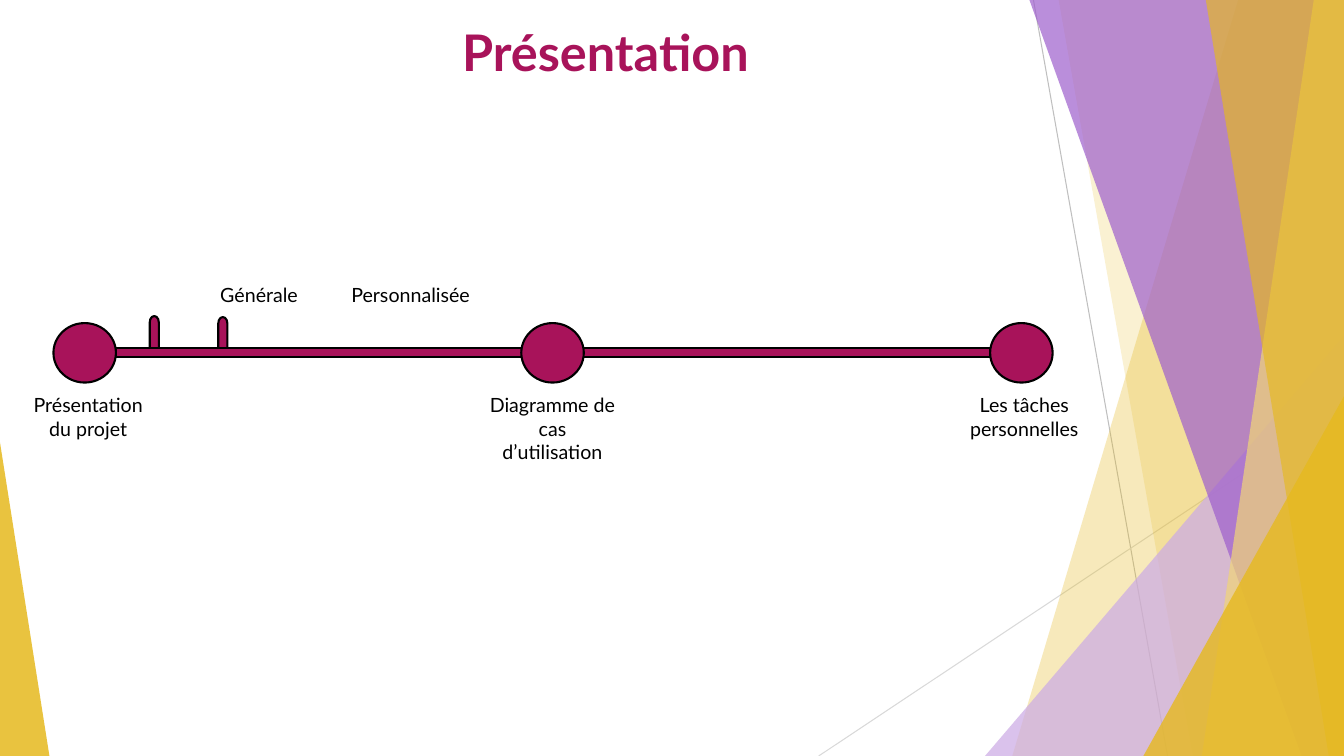
"""Build a presentation slide with a three-step timeline."""
from pptx import Presentation
from pptx.dml.color import RGBColor
from pptx.enum.shapes import MSO_CONNECTOR as Connector, MSO_SHAPE as Shape
from pptx.enum.text import MSO_ANCHOR as Anchor, PP_ALIGN as Align
from pptx.oxml import parse_xml
from pptx.oxml.ns import nsdecls, qn
from pptx.util import Inches, Pt
from lxml import etree

WIDTH, HEIGHT = 13.33, 7.5
FONT = "Lato"
BERRY = RGBColor(0xA8, 0x13, 0x5A)
BLACK = RGBColor(0, 0, 0)
GOLD = RGBColor(0xE6, 0xB9, 0x1E)
PALE_GOLD = RGBColor(0xF0, 0xD5, 0x78)
PURPLE = RGBColor(0x9E, 0x5F, 0xCD)
LILAC = RGBColor(0xCC, 0xAB, 0xE5)
GREY = RGBColor(0xBF, 0xBF, 0xBF)
LIGHT_GREY = RGBColor(0xD9, 0xD9, 0xD9)

AXIS_Y = 3.5
BAR_THICKNESS = 0.09
BAR_START, BAR_LENGTH = 1.12, 8.7
PIN_LENGTH = 0.39
CIRCLE_WIDTH, CIRCLE_HEIGHT = 0.62, 0.59
LABEL_FORMAT = {"name": FONT, "size": Pt(14), "bold": False}
TITLE_FORMAT = {"name": FONT, "size": Pt(36), "bold": True}


def add_thin_line(slide, start, end, color):
    """Draw a thin decorative line without a shadow."""
    line = slide.shapes.add_connector(
        Connector.STRAIGHT, *(Inches(value) for value in (*start, *end)))
    line.line.color.rgb = color
    line.line.width = Pt(0.75)
    line._element.spPr.append(parse_xml(f"<a:effectLst {nsdecls('a')}/>"))


def make_translucent(shape, color, opacity):
    """Fill a shape with a translucent colour and no outline."""
    shape.shadow.inherit = False
    shape.fill.solid()
    shape.fill.fore_color.rgb = color
    color_node = shape._element.spPr.find(qn("a:solidFill"))[0]
    etree.SubElement(color_node, qn("a:alpha")).set("val", str(opacity * 1000))
    shape.line.fill.background()


def add_band(slide, top_x, bottom_x, color, opacity):
    """Draw a slanted band that reaches the right edge of the slide."""
    builder = slide.shapes.build_freeform(Inches(top_x), 0)
    corners = [(WIDTH, 0), (WIDTH, HEIGHT), (bottom_x, HEIGHT)]
    builder.add_line_segments([(Inches(x), Inches(y)) for x, y in corners])
    make_translucent(builder.convert_to_shape(), color, opacity)


def add_corner(slide, left, top, width, apex, color, opacity):
    """Draw a triangle that stands on the bottom edge of the slide."""
    shape = slide.shapes.add_shape(
        Shape.ISOSCELES_TRIANGLE, Inches(left), Inches(top),
        Inches(width), Inches(HEIGHT - top))
    shape.adjustments[0] = apex
    make_translucent(shape, color, opacity)


def add_timeline_part(slide, kind, center, size, rotation=0):
    """Draw an outlined timeline part around its centre."""
    (x, y), (width, height) = center, size
    shape = slide.shapes.add_shape(
        kind, Inches(x - width / 2), Inches(y - height / 2),
        Inches(width), Inches(height))
    shape.shadow.inherit = False
    shape.rotation = rotation
    shape.fill.solid()
    shape.fill.fore_color.rgb = BERRY
    shape.line.color.rgb = BLACK
    shape.line.width = Pt(1.5)


def add_text(slide, box, text, font_format, color, alignment=Align.CENTER):
    """Add a wrapped text box with one paragraph."""
    frame = slide.shapes.add_textbox(*(Inches(value) for value in box)).text_frame
    frame.word_wrap = True
    frame.vertical_anchor = Anchor.TOP
    paragraph = frame.paragraphs[0]
    paragraph.alignment = alignment
    run = paragraph.add_run()
    run.text = text
    for name, value in font_format.items():
        setattr(run.font, name, value)
    run.font.color.rgb = color


def add_background(slide):
    """Draw the overlapping bands, corners and thin lines."""
    add_thin_line(slide, (10.25, 0), (11.58, HEIGHT), GREY)
    add_thin_line(slide, (WIDTH, 4.03), (8.12, HEIGHT), LIGHT_GREY)
    add_band(slide, 12.28, 10.04, GOLD, 30)
    add_band(slide, 10.5, 11.83, GOLD, 20)
    add_corner(slide, 9.77, 3.33, 3.56, 1, LILAC, 72)
    add_band(slide, 10.21, 12.91, PURPLE, 70)
    add_band(slide, 13.03, 11.92, PALE_GOLD, 70)
    add_band(slide, 11.96, 13.18, GOLD, 65)
    add_corner(slide, 11.34, 3.93, 1.99, 1, GOLD, 80)
    add_corner(slide, 0, 4.39, 0.49, 0, GOLD, 85)


def add_timeline(slide):
    """Draw the pins, the bar, the step circles and their labels."""
    for pin_x, pin_y in [(1.53, 3.33), (2.21, 3.34)]:
        add_timeline_part(slide, Shape.FLOWCHART_TERMINATOR, (pin_x, pin_y),
                          (PIN_LENGTH, BAR_THICKNESS), 270)
    add_timeline_part(slide, Shape.RECTANGLE, (BAR_START + BAR_LENGTH / 2, AXIS_Y),
                      (BAR_LENGTH, BAR_THICKNESS))
    steps = [
        (0.84, 0.22, 1.31, 0.57, "Présentation du projet"),
        (5.48, 4.76, 1.44, 0.81, "Diagramme de cas d’utilisation"),
        (10.13, 9.51, 1.3, 0.57, "Les tâches personnelles"),
    ]
    for center_x, left, width, height, label in steps:
        add_timeline_part(slide, Shape.OVAL, (center_x, AXIS_Y),
                          (CIRCLE_WIDTH, CIRCLE_HEIGHT))
        add_text(slide, (left, 3.85, width, height), label, LABEL_FORMAT, BLACK)
    add_text(slide, (1.95, 2.76, 1.24, 0.34), "Générale", LABEL_FORMAT, BLACK)
    add_text(slide, (3.32, 2.76, 1.44, 0.34), "Personnalisée", LABEL_FORMAT,
             BLACK, Align.RIGHT)


def main():
    """Create the slide and save the presentation."""
    presentation = Presentation()
    presentation.slide_width = Inches(WIDTH)
    presentation.slide_height = Inches(HEIGHT)
    slide = presentation.slides.add_slide(presentation.slide_layouts[6])
    add_background(slide)
    add_text(slide, (3.75, 0.16, 4.51, 0.71), "Présentation", TITLE_FORMAT, BERRY)
    add_timeline(slide)
    presentation.save("out.pptx")


if __name__ == "__main__":
    main()
